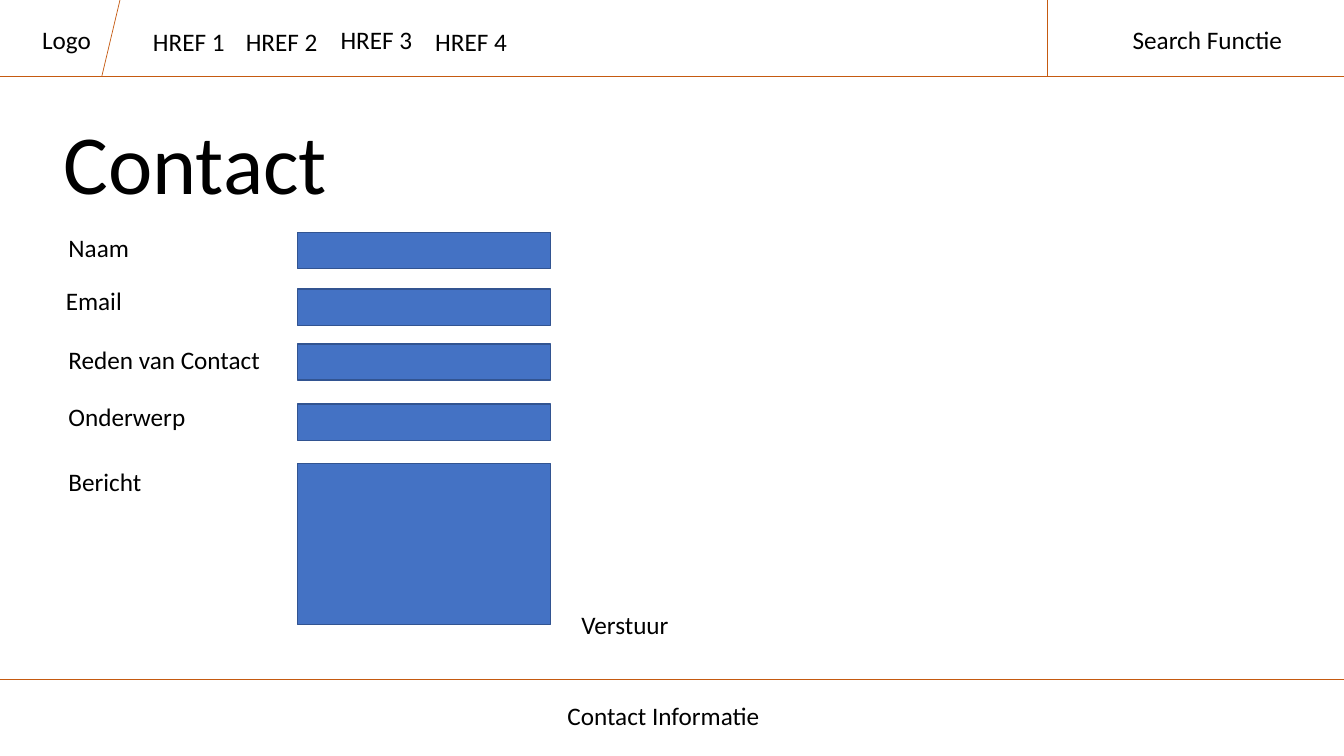
from lxml import etree
from pptx import Presentation
from pptx.enum import shapes, text
from pptx.oxml import ns
from pptx.util import Pt
from pptx.dml import color

COLORS = {"ink": "000000", "rule": "C55A11", "field": "4472C4", "edge": "325491"}
FONT = "Calibri"
WIDTH, HEIGHT = 960, 540
HEADER, FOOTER = 54.72, 485.28


class Wireframe:
    """Style and current page of a contact form wireframe."""

    def __init__(self, page):
        self.page = page

    def color(self, name):
        return color.RGBColor.from_string(COLORS[name])

    def add_words(self, box, words, size=18):
        para = box.text_frame.paragraphs[0]
        span = para.add_run()
        span.text = words
        span.font.size = Pt(size)
        span.font.name = FONT
        span.font.color.rgb = self.color("ink")
        return para

    def placeholder(self, box, words, bounds, size, anchor, fit, before=0):
        box.left, box.top, box.width, box.height = map(Pt, bounds)
        box.text_frame.vertical_anchor = anchor
        box.text_frame.auto_size = fit
        para = self.add_words(box, words, size)
        para.alignment = text.PP_ALIGN.CENTER
        para.line_spacing = 0.9
        para.space_before = Pt(before)

    def label(self, words, left, top, width, wrap=True):
        box = self.page.shapes.add_textbox(Pt(left), Pt(top), Pt(width), Pt(29.08))
        box.text_frame.word_wrap = wrap
        box.text_frame.auto_size = text.MSO_AUTO_SIZE.SHAPE_TO_FIT_TEXT
        self.add_words(box, words)

    def rule(self, *ends):
        line = self.page.shapes.add_connector(
            shapes.MSO_CONNECTOR.STRAIGHT, *map(Pt, ends))
        line.line.color.rgb = self.color("rule")
        line.line.width = Pt(0.5)
        etree.SubElement(line._element.spPr, ns.qn("a:effectLst"))

    def field(self, top, height):
        box = self.page.shapes.add_shape(
            shapes.MSO_SHAPE.RECTANGLE, Pt(212.4), Pt(top), Pt(181), Pt(height))
        box.shadow.inherit = False
        box.fill.solid()
        box.fill.fore_color.rgb = self.color("field")
        box.line.color.rgb = self.color("edge")
        box.line.width = Pt(1)


def main():
    deck = Presentation()
    deck.slide_width, deck.slide_height = Pt(WIDTH), Pt(HEIGHT)
    page = deck.slides.add_slide(deck.slide_layouts[0])
    frame = Wireframe(page)

    frame.placeholder(page.shapes.title, "Contact", (-220.5, -32.4, 720, 188), 60,
                      text.MSO_ANCHOR.BOTTOM, text.MSO_AUTO_SIZE.NONE)
    frame.placeholder(page.placeholders[1], "Email", (-293, 202.3, 720, 26.6), 18,
                      text.MSO_ANCHOR.TOP, text.MSO_AUTO_SIZE.SHAPE_TO_FIT_TEXT, 10)

    for ends in ((0, HEADER, WIDTH, HEADER), (748, HEADER, 748, 0),
                 (72.7, HEADER, 85.7, 0), (0, FOOTER, WIDTH, FOOTER)):
        frame.rule(*ends)

    frame.label("Logo", 23, 13.7, 49.7, wrap=False)
    frame.label("Search Functie", 802, 13.7, 122.4, wrap=False)
    frame.label("HREF 1", 102.2, 15.1, 66.2, wrap=False)
    for words, left, top in (("HREF 2", 168.5, 15.1), ("HREF 3", 236.2, 13.7),
                             ("HREF 4", 303.8, 15.1),
                             ("Contact Informatie", 398.2, 496.8)):
        frame.label(words, left, top, 594.7)

    for words, top, width in (("Naam", 162.7, 212.4), ("Reden van Contact", 242.6, 609),
                              ("Onderwerp", 283.3, 620), ("Bericht", 329.8, 620)):
        frame.label(words, 41.8, top, width)

    for top, height in ((165.9, 26), (206.4, 26), (245.6, 26), (288.6, 26), (331, 115.2)):
        frame.field(top, height)
    frame.label("Verstuur", 408.2, 431.8, 620)

    deck.save("out.pptx")


if __name__ == "__main__":
    main()
